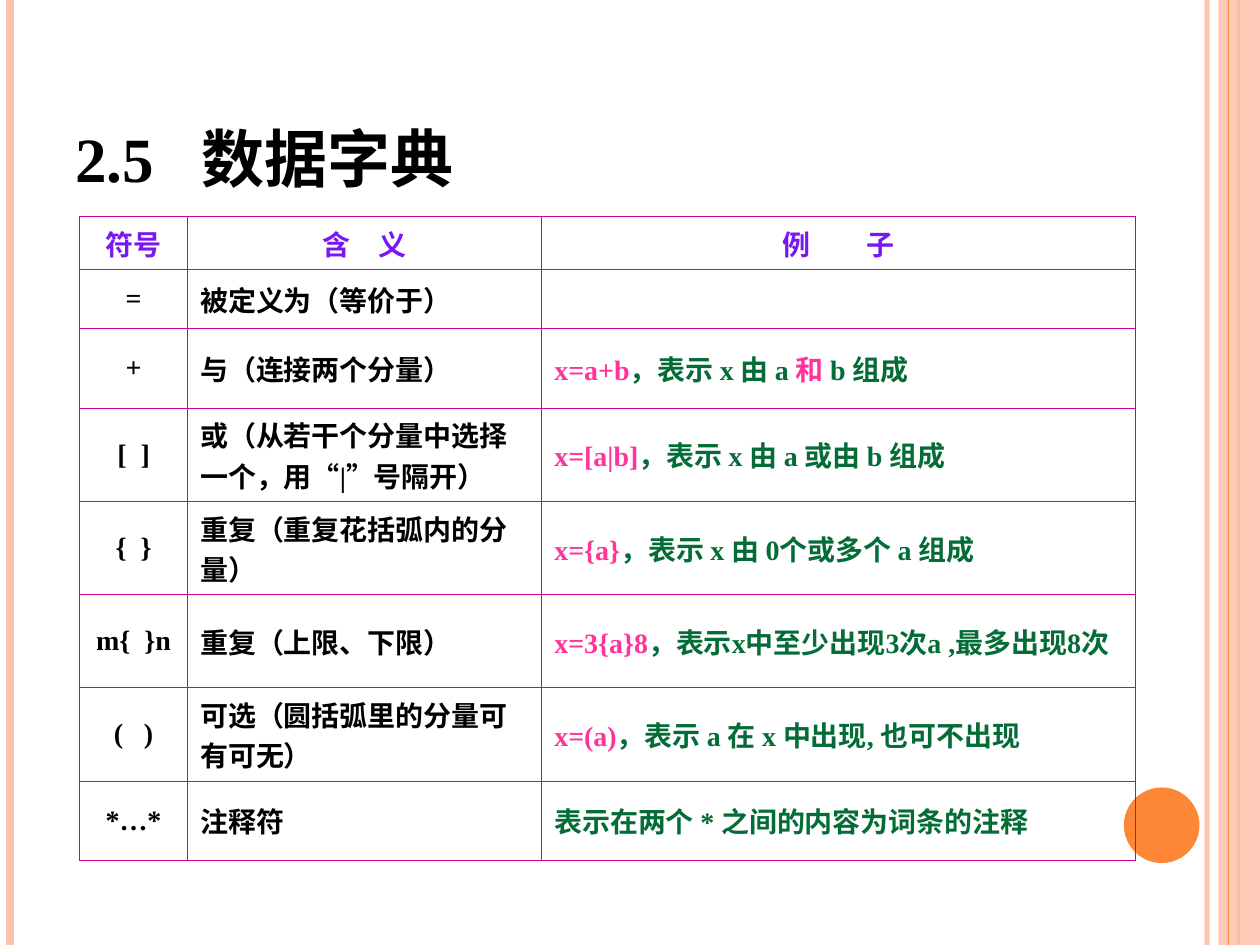
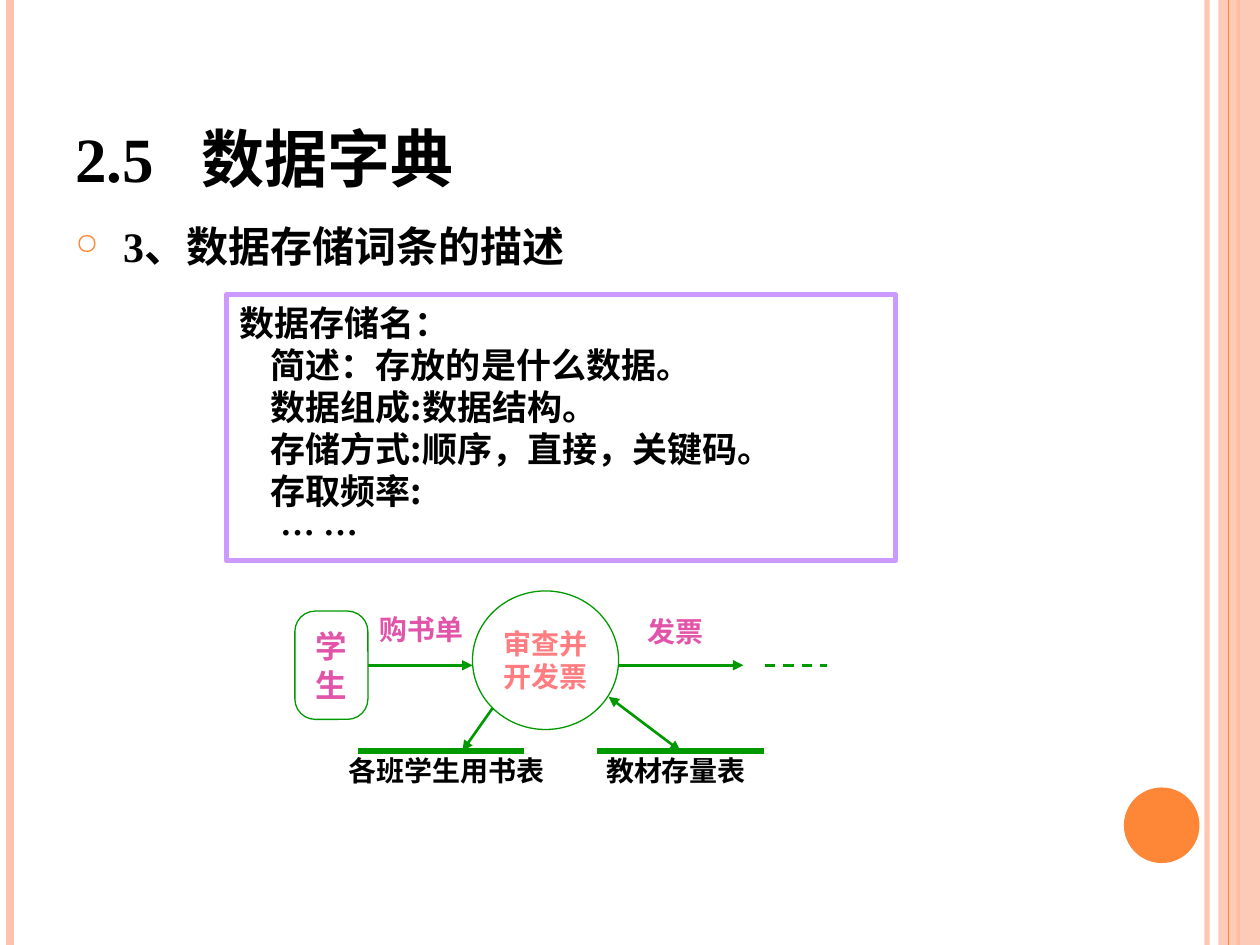
from lxml import etree
from pptx import Presentation
from pptx.dml.color import RGBColor
from pptx.enum.dml import MSO_LINE
from pptx.enum.shapes import MSO_CONNECTOR, MSO_SHAPE
from pptx.enum.text import MSO_ANCHOR, PP_ALIGN
from pptx.oxml.ns import qn
from pptx.util import Inches, Pt

RECTANGLE, ROUNDED, OVAL = MSO_SHAPE.RECTANGLE, MSO_SHAPE.ROUNDED_RECTANGLE, MSO_SHAPE.OVAL
STRAIGHT, DASH = MSO_CONNECTOR.STRAIGHT, MSO_LINE.DASH
TOP, MIDDLE, BOTTOM = MSO_ANCHOR.TOP, MSO_ANCHOR.MIDDLE, MSO_ANCHOR.BOTTOM
LEFT, CENTER = PP_ALIGN.LEFT, PP_ALIGN.CENTER
RIGHT_SIDE = 3

COLUMNS, ROWS = 100, 75
SERIF, SANS = "Times New Roman", "Noto Sans CJK SC"
BLACK, ORANGE, PEACH = "000000", "FE8637", "FEC3AE"
VIOLET, PINK, FOREST, MAGENTA = "7A16F4", "FF3399", "046C36", "CC0099"
LILAC, GREEN, ROSE, CORAL = "CC99FF", "009900", "E254A9", "FF7C80"

TITLE = "2.5\t数据字典"
HEADINGS = ["符号", "含　义", "例　　子"]
SYMBOLS = [
    ("=", "被定义为（等价于）", []),
    ("+", "与（连接两个分量）",
     [("x=a+b", PINK), ("，表示 x 由 a ", FOREST), ("和 ", PINK), ("b 组成", FOREST)]),
    ("[  ]", "或（从若干个分量中选择一个，用“|”号隔开）",
     [("x=[a|b]", PINK), ("，表示 x 由 a 或由 b 组成", FOREST)]),
    ("{  }", "重复（重复花括弧内的分量）",
     [("x={a}", PINK), ("，表示 x 由 0个或多个 a 组成", FOREST)]),
    ("m{  }n", "重复（上限、下限）",
     [("x=3{a}8", PINK), ("，表示x中至少出现3次a ,最多出现8次", FOREST)]),
    ("(   )", "可选（圆括弧里的分量可有可无）",
     [("x=(a)", PINK), ("，表示 a 在 x 中出现, 也可不出现", FOREST)]),
    ("*…*", "注释符", [("表示在两个 * 之间的内容为词条的注释", FOREST)]),
]
SYMBOL_COLUMNS = [8.6, 28.1, 47.1]
SYMBOL_ROWS = [4.2, 4.7, 6.3, 7.4, 7.4, 7.4, 7.4, 6.3]
STORE_FIELDS = [
    ("数据存储名：", 0),
    ("简述：存放的是什么数据。", 2.5),
    ("数据组成:数据结构。", 2.5),
    ("存储方式:顺序，直接，关键码。", 2.5),
    ("存取频率:", 2.5),
    ("… …", 3.3),
]


def color(value):
    return RGBColor.from_string(value)


def add_element(parent, tag, **attributes):
    return etree.SubElement(parent, qn(tag), attributes)


class Style:
    def __init__(self):
        self.deck = Presentation()
        self.deck.slide_width, self.deck.slide_height = Inches(10), Inches(7.5)
        self.page = None

    def x(self, columns):
        return round(self.deck.slide_width * columns / COLUMNS)

    def y(self, rows):
        return round(self.deck.slide_height * rows / ROWS)

    def area(self, left, top, width, height):
        return self.x(left), self.y(top), self.x(width), self.y(height)

    def new_page(self):
        self.page = self.deck.slides.add_slide(self.deck.slide_layouts[6])
        self.line((95.8, 0), (95.8, ROWS), PEACH, 3, alpha=93)
        self.line((0.8, 0), (0.8, ROWS), PEACH, 4.5)
        self.line((98.3, 0), (98.3, ROWS), ORANGE, 1.5)
        self.shape(RECTANGLE, (96.7, 0, 3.3, ROWS), fill=PEACH, alpha=87)
        self.line((97.5, 0), (97.5, ROWS), ORANGE, 0.75)
        self.shape(OVAL, (89.2, 62.5, 6, 6), fill=ORANGE)
        self.text((5, 3.5, 81.7, 12.5), TITLE, 36, font=SERIF, anchor=BOTTOM)

    def set_alpha(self, element, percent):
        for tint in element.iter(qn("a:srgbClr")):
            add_element(tint, "a:alpha", val=str(percent * 1000))

    def line(self, start, end, ink, weight, alpha=None, arrows=(), dash=None):
        connector = self.page.shapes.add_connector(
            STRAIGHT, self.x(start[0]), self.y(start[1]), self.x(end[0]), self.y(end[1]))
        connector.line.color.rgb = color(ink)
        connector.line.width = Pt(weight)
        if dash:
            connector.line.dash_style = dash
        properties = connector.line._get_or_add_ln()
        if alpha:
            self.set_alpha(properties, alpha)
        for arrow in arrows:
            add_element(properties, arrow, type="triangle")
        add_element(connector._element.spPr, "a:effectLst")
        return connector

    def shape(self, kind, place, fill=None, outline=None, weight=1, alpha=None):
        shape = self.page.shapes.add_shape(kind, *self.area(*place))
        shape.shadow.inherit = False
        if fill:
            shape.fill.solid()
            shape.fill.fore_color.rgb = color(fill)
        else:
            shape.fill.background()
        if outline:
            shape.line.color.rgb = color(outline)
            shape.line.width = Pt(weight)
        else:
            shape.line.fill.background()
        if alpha:
            self.set_alpha(shape._element.spPr, alpha)
        return shape

    def paragraph(self, para, spans, size, ink=BLACK, font=SANS, align=LEFT):
        para.alignment = align
        para.font.size, para.font.bold, para.font.name = Pt(size), True, font
        if isinstance(spans, str):
            para.add_run().text = spans
            para.font.color.rgb = color(ink)
        else:
            for words, tint in spans:
                span = para.add_run()
                span.text = words
                span.font.color.rgb = color(tint)
        for latin in para._p.iter(qn("a:latin")):
            east_asian = etree.Element(qn("a:ea"), typeface=SANS)
            latin.addnext(east_asian)

    def text(self, place, words, size, ink=BLACK, font=SANS, align=LEFT, anchor=TOP):
        box = self.page.shapes.add_textbox(*self.area(*place))
        box.text_frame.word_wrap = True
        box.text_frame.vertical_anchor = anchor
        self.paragraph(box.text_frame.paragraphs[0], words, size, ink, font, align)
        return box

    def bullet(self, place, words, size):
        box = self.text(place, "", size)
        para = box.text_frame.paragraphs[0]
        para.clear()
        properties = para._p.get_or_add_pPr()
        for child in list(properties):
            properties.remove(child)
        properties.set("marL", str(self.x(3.8)))
        properties.set("indent", str(-self.x(3.8)))
        add_element(add_element(properties, "a:buClr"), "a:srgbClr", val=ORANGE)
        add_element(properties, "a:buSzPct", val="70000")
        add_element(properties, "a:buChar", char="○")
        self.paragraph(para, words, size, font=SERIF)

    def fill_lines(self, shape, lines, size, spacing, ink=BLACK, align=CENTER, inset=0):
        frame = shape.text_frame
        frame.word_wrap, frame.vertical_anchor = True, MIDDLE
        frame.margin_left = frame.margin_right = self.x(inset)
        frame.margin_top = frame.margin_bottom = 0
        for index, (words, indent) in enumerate(lines):
            para = frame.add_paragraph() if index else frame.paragraphs[0]
            para._p.get_or_add_pPr().set("marL", str(self.x(indent)))
            para.line_spacing = Pt(spacing)
            self.paragraph(para, words, size, ink, align=align)

    def border(self, cell, ink, weight):
        properties = cell._tc.get_or_add_tcPr()
        for index, side in enumerate(("a:lnL", "a:lnR", "a:lnT", "a:lnB")):
            edge = etree.Element(qn(side), w=str(Pt(weight)))
            add_element(add_element(edge, "a:solidFill"), "a:srgbClr", val=ink)
            properties.insert(index, edge)

    def table(self, left, top, widths, heights):
        place = self.area(left, top, sum(widths), sum(heights))
        table = self.page.shapes.add_table(len(heights), len(widths), *place).table
        table.first_row = table.horz_banding = False
        for column, width in zip(table.columns, widths):
            column.width = self.x(width)
        for row, height in zip(table.rows, heights):
            row.height = self.y(height)
        for cell in table.iter_cells():
            cell.fill.background()
            cell.vertical_anchor = MIDDLE
            self.border(cell, MAGENTA, 0.45)
        return table


def build_symbol_page(style):
    style.new_page()
    table = style.table(6.3, 17.2, SYMBOL_COLUMNS, SYMBOL_ROWS)
    for column, heading in enumerate(HEADINGS):
        para = table.cell(0, column).text_frame.paragraphs[0]
        style.paragraph(para, heading, 16, VIOLET, align=CENTER)
    for row, entry in enumerate(SYMBOLS, 1):
        for column, (spans, align) in enumerate(zip(entry, (CENTER, LEFT, LEFT))):
            para = table.cell(row, column).text_frame.paragraphs[0]
            style.paragraph(para, spans, 16, font=SERIF, align=align)


def build_store_page(style):
    style.new_page()
    style.bullet((5, 17, 81.7, 5.3), "3、数据存储词条的描述", 24)
    card = style.shape(RECTANGLE, (18, 23.4, 53.1, 21.1), outline=LILAC, weight=3)
    style.fill_lines(card, STORE_FIELDS, 20, 24, align=LEFT, inset=1)

    process = style.shape(OVAL, (37.5, 46.9, 11.6, 11), outline=GREEN, weight=0.75)
    style.fill_lines(process, [("审查并", 0), ("开发票", 0)], 16, 19, CORAL)
    student = style.shape(ROUNDED, (23.4, 48.5, 5.8, 8.6), outline=GREEN, weight=0.75)
    student.adjustments[0] = 0.28
    style.fill_lines(student, [("学", 0), ("生", 0)], 18, 22, ROSE)

    order = style.line((29.2, 52.8), (37.5, 52.8), GREEN, 1.5, arrows=["a:tailEnd"])
    order.begin_connect(student, RIGHT_SIDE)
    style.line((49.1, 52.8), (59, 52.8), GREEN, 1.5, arrows=["a:tailEnd"])
    style.line((60.7, 52.8), (65.6, 52.8), GREEN, 1.5, dash=DASH)
    style.line((39.1, 56.2), (36.7, 59.6), GREEN, 1.5, arrows=["a:tailEnd"])
    style.line((54, 59.6), (48.3, 55.3), GREEN, 1.5, arrows=["a:headEnd", "a:tailEnd"])

    style.text((49.9, 48.3, 7.4, 3.7), "发票", 16, ROSE, align=CENTER)
    order_label = style.text((28.9, 48.1, 9.1, 3.7), "购书单", 16, ROSE, align=CENTER)
    order_label.rotation = -0.8
    for store, label_left, bar_left in (("各班学生用书表", 25.1, 28.4), ("教材存量表", 43.3, 47.4)):
        style.line((bar_left, 59.6), (bar_left + 13.2, 59.6), GREEN, 3)
        style.text((label_left, 59.3, 20.7, 3.7), store, 16, align=CENTER)


def main():
    style = Style()
    build_symbol_page(style)
    build_store_page(style)
    style.deck.save("out.pptx")


if __name__ == "__main__":
    main()
